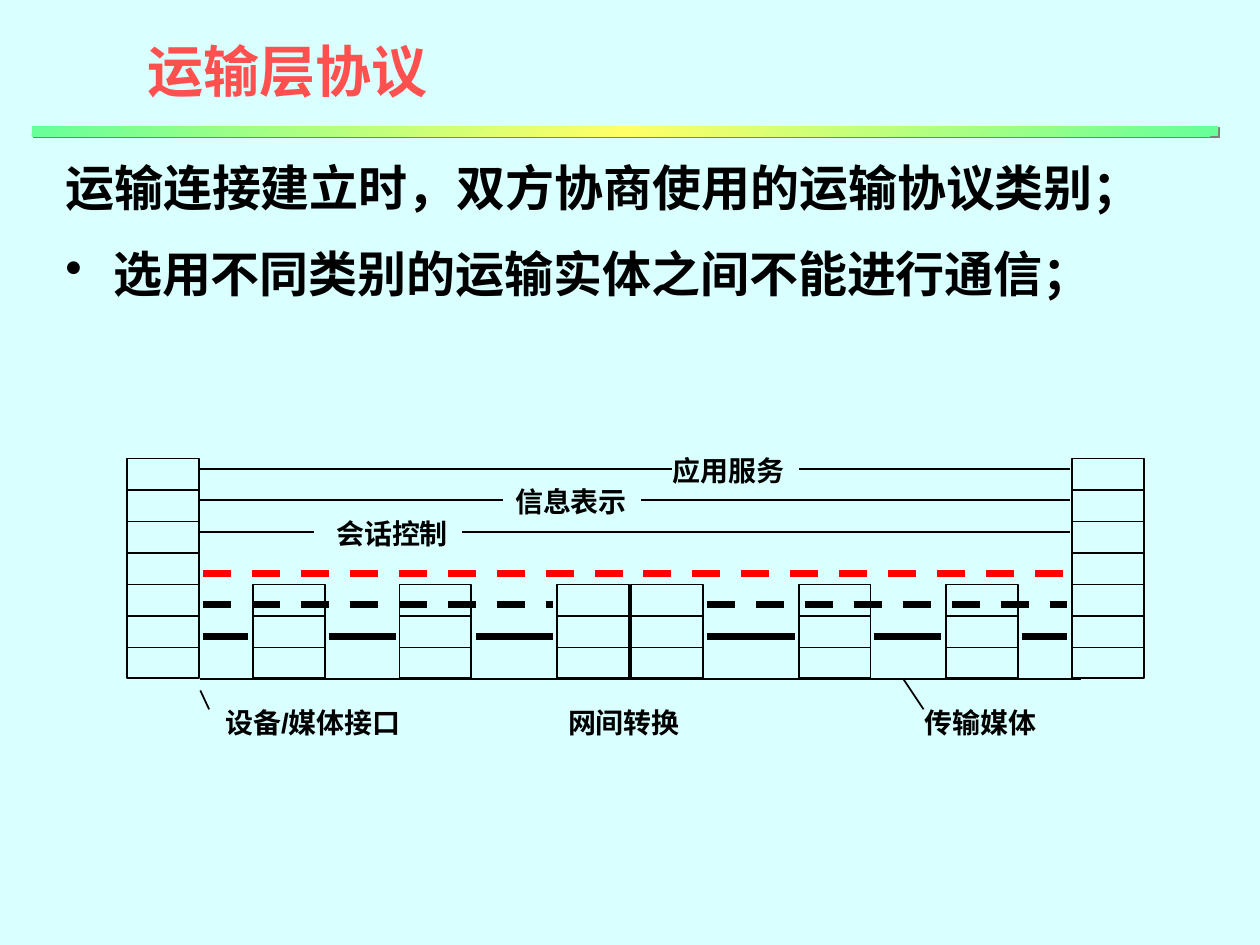
import pptx
import pptx.util
import pptx.dml.color
import pptx.enum.dml
import pptx.enum.shapes
import pptx.oxml
import pptx.oxml.ns
from lxml import etree

PX = 9144  # EMU per px, 100 px to the inch
THEME = {
    "background": "D9FFFF", "title": "FF5050", "ink": "000000",
    "transport": "FF0000", "bar_edge": "66FF99", "bar_middle": "FFFF66",
    "bar_shadow": "808080",
    "font": "Arial", "title_font": "Noto Sans CJK SC",
    "title_size": 32, "body_size": 28, "label_size": 16,
    "thin": 1, "thick": 4,
}
rgb = pptx.dml.color.RGBColor.from_string
qn = pptx.oxml.ns.qn
RECTANGLE = pptx.enum.shapes.MSO_SHAPE.RECTANGLE

prs = pptx.Presentation()
prs.slide_width, prs.slide_height = 1000 * PX, 750 * PX
slide = prs.slides.add_slide(prs.slide_layouts[6])
slide.background.fill.solid()
slide.background.fill.fore_color.rgb = rgb(THEME["background"])


def add_text(left, top, width, height, lines, size, color="ink", font="font", wrap=False):
    """Add a bold text box with one paragraph per line; return its paragraphs."""
    box = slide.shapes.add_textbox(left * PX, top * PX, width * PX, height * PX)
    frame = box.text_frame
    frame.word_wrap = wrap
    frame.text = "\n".join(lines)
    for paragraph in frame.paragraphs:
        for run in paragraph.runs:
            run.font.name = THEME[font]
            run.font.size = pptx.util.Pt(THEME[size])
            run.font.bold = True
            run.font.color.rgb = rgb(THEME[color])
            east_asian = etree.SubElement(run.font._element, qn("a:ea"))
            east_asian.set("typeface", THEME["font"])
    return frame.paragraphs


def add_line(x1, y1, x2, y2, weight="thin", color="ink", dashed=False):
    line = slide.shapes.add_connector(
        pptx.enum.shapes.MSO_CONNECTOR.STRAIGHT, x1 * PX, y1 * PX, x2 * PX, y2 * PX)
    line.line.width = pptx.util.Pt(THEME[weight])
    line.line.color.rgb = rgb(THEME[color])
    if dashed:
        line.line.dash_style = pptx.enum.dml.MSO_LINE.DASH
    etree.SubElement(line._element.spPr, qn("a:effectLst"))


# Statements about the protocol classes
statements = add_text(
    42, 125, 890, 227,
    ["运输连接建立时，双方协商使用的运输协议类别；", "选用不同类别的运输实体之间不能进行通信；"],
    "body_size", wrap=True)
for statement in statements:
    statement.line_spacing = 0.9
    properties = statement._p.get_or_add_pPr()
    properties.set("marL", str(38 * PX))
    properties.set("indent", str(-38 * PX))
statements[0].space_after = pptx.util.Pt(12.2)
statements[1].space_before = pptx.util.Pt(7)
etree.SubElement(statements[1]._p.pPr, qn("a:buChar")).set("char", "•")

# Gradient rule under the title
title_bar = slide.shapes.add_shape(RECTANGLE, 25 * PX, 100 * PX, 942 * PX, 8 * PX)
title_bar.line.fill.background()
title_bar.fill.gradient()
title_bar.fill.gradient_angle = 315
stops = title_bar._element.spPr.find(qn("a:gradFill")).find(qn("a:gsLst"))
for stop in list(stops):
    stops.remove(stop)
for percent, name in ((0, "bar_edge"), (50, "bar_middle"), (100, "bar_edge")):
    stop = etree.SubElement(stops, qn("a:gs"), pos=str(percent * 1000))
    etree.SubElement(stop, qn("a:srgbClr"), val=THEME[name])
title_bar.shadow.inherit = False
bar_shadow = etree.SubElement(
    title_bar._element.spPr.find(qn("a:effectLst")), qn("a:outerShdw"),
    dist=str(pptx.util.Pt(1.4)), dir="2700000", algn="ctr", rotWithShape="0")
etree.SubElement(bar_shadow, qn("a:srgbClr"), val=THEME["bar_shadow"])

add_text(107, 24, 260, 64, ["运输层协议"], "title_size", "title", "title_font", wrap=True)

# Protocol stacks: two end systems of seven layers, relays of three
LAYER, STACK_WIDTH, STACK_BOTTOM = 25, 57, 538
for left, layers in ((101, 7), (851, 7), (201, 3), (317, 3),
                     (634, 3), (751, 3), (442, 3), (501, 3)):
    height = layers * LAYER - 1
    top = STACK_BOTTOM - height
    stack = slide.shapes.add_shape(
        RECTANGLE, left * PX, top * PX, STACK_WIDTH * PX, height * PX)
    stack.shadow.inherit = False
    stack.fill.background()
    stack.line.color.rgb = rgb(THEME["ink"])
    stack.line.width = pptx.util.Pt(THEME["thin"])
    for layer in range(1, layers):
        y = top + layer * LAYER
        add_line(left, y, left + STACK_WIDTH, y)

# Transmission medium, then the data link, network and transport layers
add_line(159, 539, 858, 539)
for start, end in ((161, 197), (261, 314), (378, 439), (561, 631), (694, 747), (811, 847)):
    add_line(start, 505, end, 505, "thick")
for start, end in ((161, 439), (561, 847)):
    add_line(start, 480, end, 480, "thick", dashed=True)
add_line(161, 455, 847, 455, "thick", "transport", dashed=True)

# Upper layers: a line on each side of the service name
for service, label_left, gap_start, gap_end, y in (
        ("会话控制", 257, 249, 367, 422),
        ("信息表示", 399, 399, 509, 397),
        ("应用服务", 524, 533, 634, 372)):
    add_text(label_left, y - 17, 109, 36, [service], "label_size")
    add_line(159, y, gap_start, y)
    add_line(gap_end, y, 849, y)

# Captions under the stacks and their pointers
for caption, left, width in (("设备/媒体接口", 169, 170), ("传输媒体", 724, 109),
                             ("网间转换", 441, 109)):
    add_text(left, 555, width, 36, [caption], "label_size")
add_line(159, 548, 166, 563)
add_line(717, 539, 733, 563)

prs.save("out.pptx")
